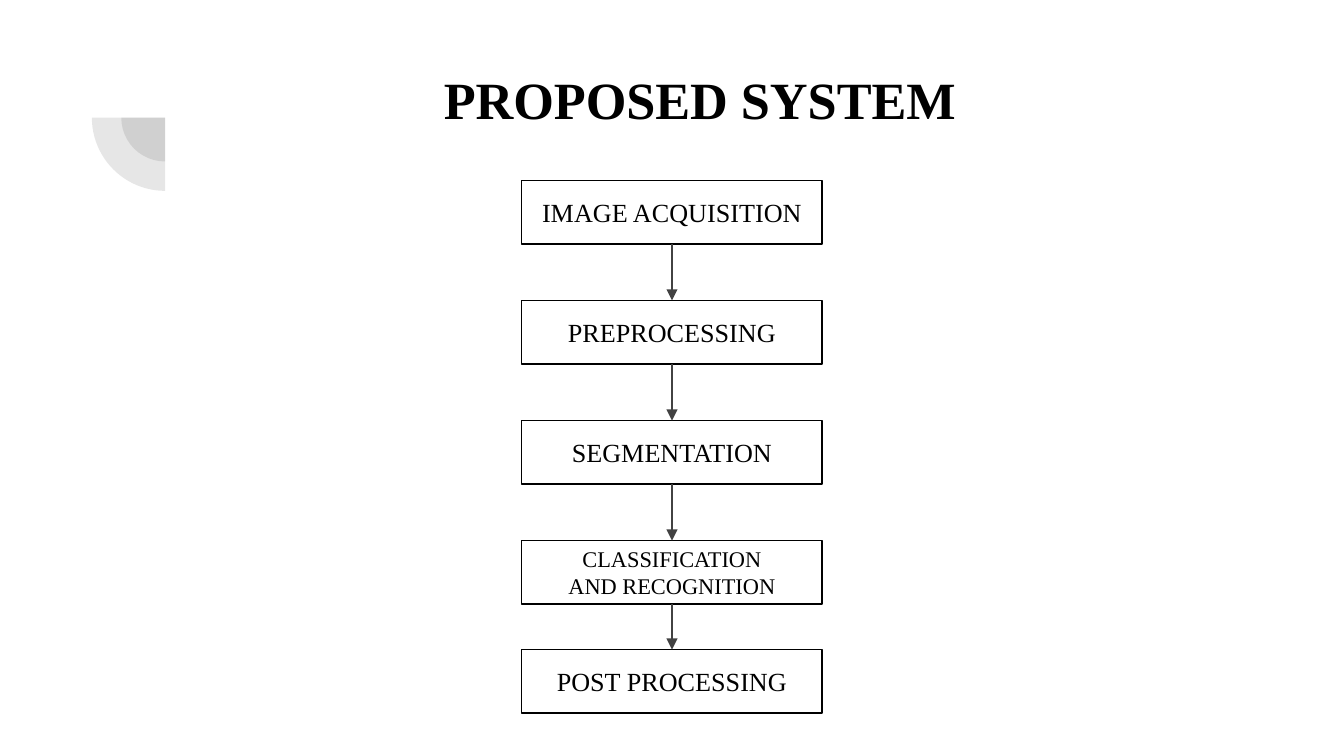
"""Build the proposed system slide: a title above a vertical flow of five steps."""
import pptx
import pptx.util
from pptx.dml.color import RGBColor
from pptx.enum.shapes import MSO_CONNECTOR, MSO_SHAPE
from pptx.enum.text import MSO_ANCHOR, PP_ALIGN
from pptx.oxml.ns import qn
from lxml import etree

Pt = pptx.util.Pt
BLACK = RGBColor(0x00, 0x00, 0x00)
GREY = RGBColor(0x42, 0x42, 0x42)
FONT = "Times New Roman"

TITLE = "PROPOSED SYSTEM"
STEPS = [
    ("IMAGE ACQUISITION", 14, 7.2),
    ("PREPROCESSING", 14, 7.2),
    ("SEGMENTATION", 14, 7.2),
    ("CLASSIFICATION AND RECOGNITION", 12, 20),
    ("POST PROCESSING", 14, 7.2),
]
ARROWS = [1.5, 1.5, 1.5, 0.75]
PIES = [47, 78.5]

WIDE, HIGH = 720, 405
HUB_X, HUB_Y = 88.5, 63
BOX_W, BOX_H = 161, 34
TOP, PITCH, LAST = 96.7, 64.3, 348


def write(shape, text, size, side, edge, bold=False):
    frame = shape.text_frame
    frame.word_wrap = True
    frame.margin_left = frame.margin_right = Pt(side)
    frame.margin_top = frame.margin_bottom = Pt(edge)
    frame.text = text
    para = frame.paragraphs[0]
    para.alignment = PP_ALIGN.CENTER
    font = para.runs[0].font
    font.name, font.size, font.bold = FONT, Pt(size), bold
    font.color.rgb = BLACK
    return frame


def add_pie(slide, size):
    pie = slide.shapes.add_shape(
        MSO_SHAPE.PIE, Pt(HUB_X - size / 2), Pt(HUB_Y - size / 2), Pt(size), Pt(size))
    pie.adjustments[0], pie.adjustments[1] = 108, 162
    pie.rotation = 270
    pie.shadow.inherit = False
    pie.line.fill.background()
    pie.fill.solid()
    pie.fill.fore_color.rgb = GREY
    tint = pie.fill._xPr.find(".//" + qn("a:srgbClr"))
    etree.SubElement(tint, qn("a:alpha"), val="13000")


def add_box(slide, top, text, size, side):
    box = slide.shapes.add_shape(
        MSO_SHAPE.RECTANGLE, Pt((WIDE - BOX_W) / 2), Pt(top), Pt(BOX_W), Pt(BOX_H))
    box.shadow.inherit = False
    box.fill.background()
    box.line.color.rgb = BLACK
    box.line.width = Pt(0.75)
    write(box, text, size, side, 2).vertical_anchor = MSO_ANCHOR.MIDDLE
    return box


def add_arrow(slide, start, end, width):
    arrow = slide.shapes.add_connector(MSO_CONNECTOR.STRAIGHT, 0, 0, 0, 0)
    arrow.begin_connect(start, 2)
    arrow.end_connect(end, 0)
    arrow.line.color.rgb = GREY
    arrow.line.width = Pt(width)
    etree.SubElement(arrow.line._get_or_add_ln(), qn("a:tailEnd"), type="triangle")
    etree.SubElement(arrow._element.spPr, qn("a:effectLst"))


def main():
    deck = pptx.Presentation()
    deck.slide_width, deck.slide_height = Pt(WIDE), Pt(HIGH)
    slide = deck.slides.add_slide(deck.slide_layouts[6])
    for size in PIES:
        add_pie(slide, size)
    title = slide.shapes.add_textbox(Pt(98), Pt(28.8), Pt(553.7), Pt(78.5))
    write(title, TITLE, 28, 7.2, 7.2, True)
    tops = [TOP + PITCH * i for i in range(len(STEPS) - 1)] + [LAST]
    boxes = [add_box(slide, top, *step) for top, step in zip(tops, STEPS)]
    for start, end, width in zip(boxes, boxes[1:], ARROWS):
        add_arrow(slide, start, end, width)
    deck.save("out.pptx")


if __name__ == "__main__":
    main()
